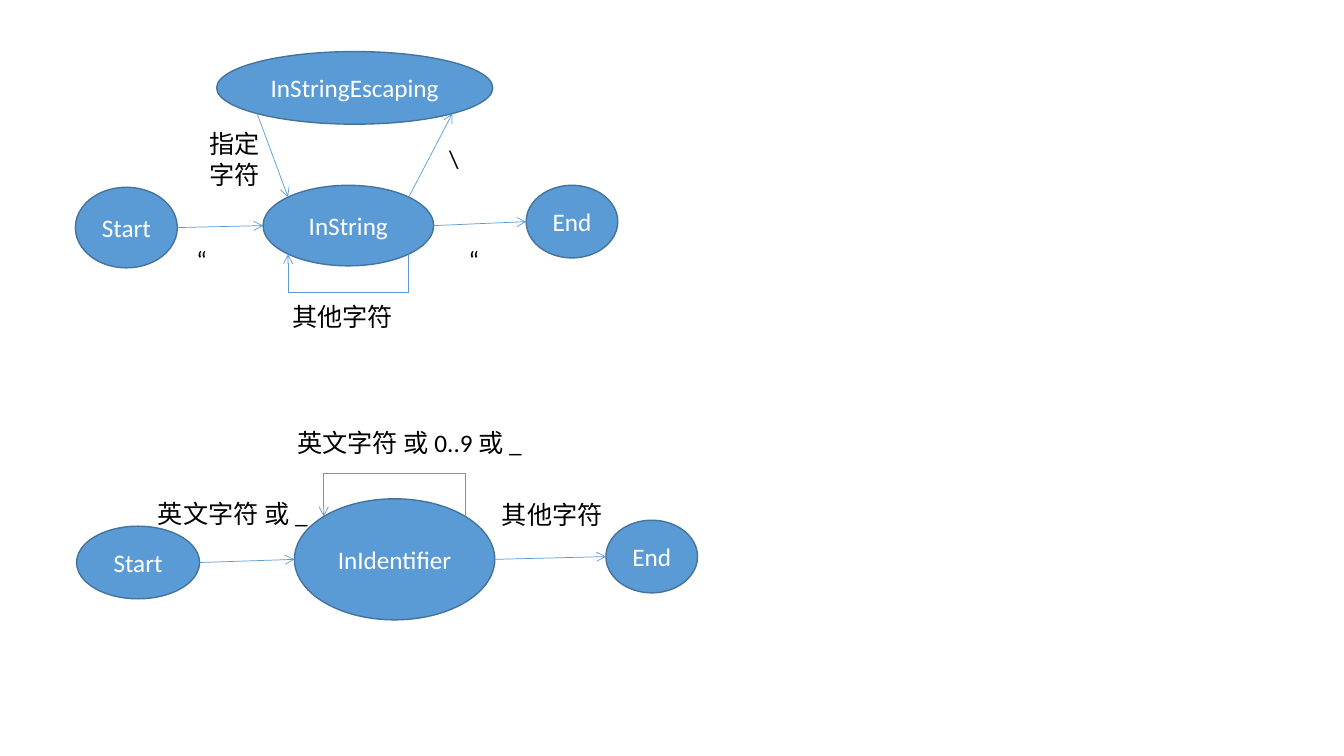
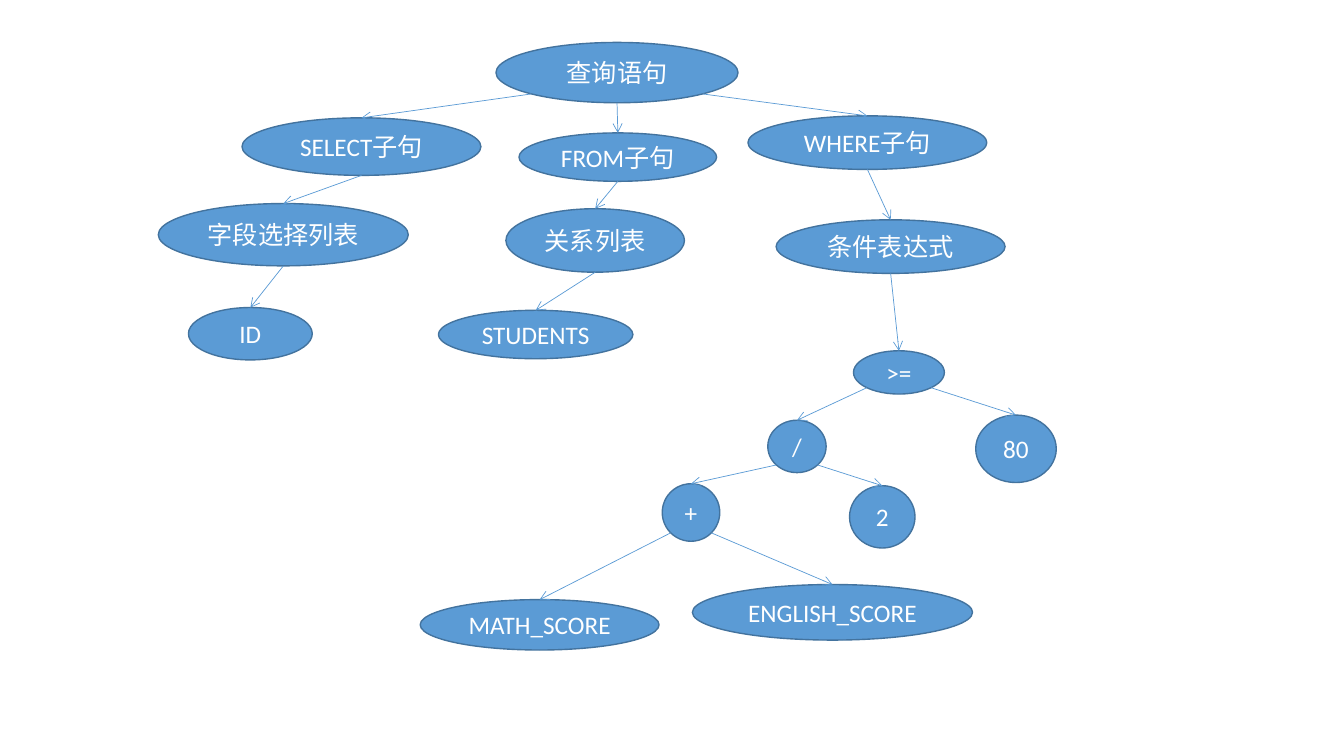
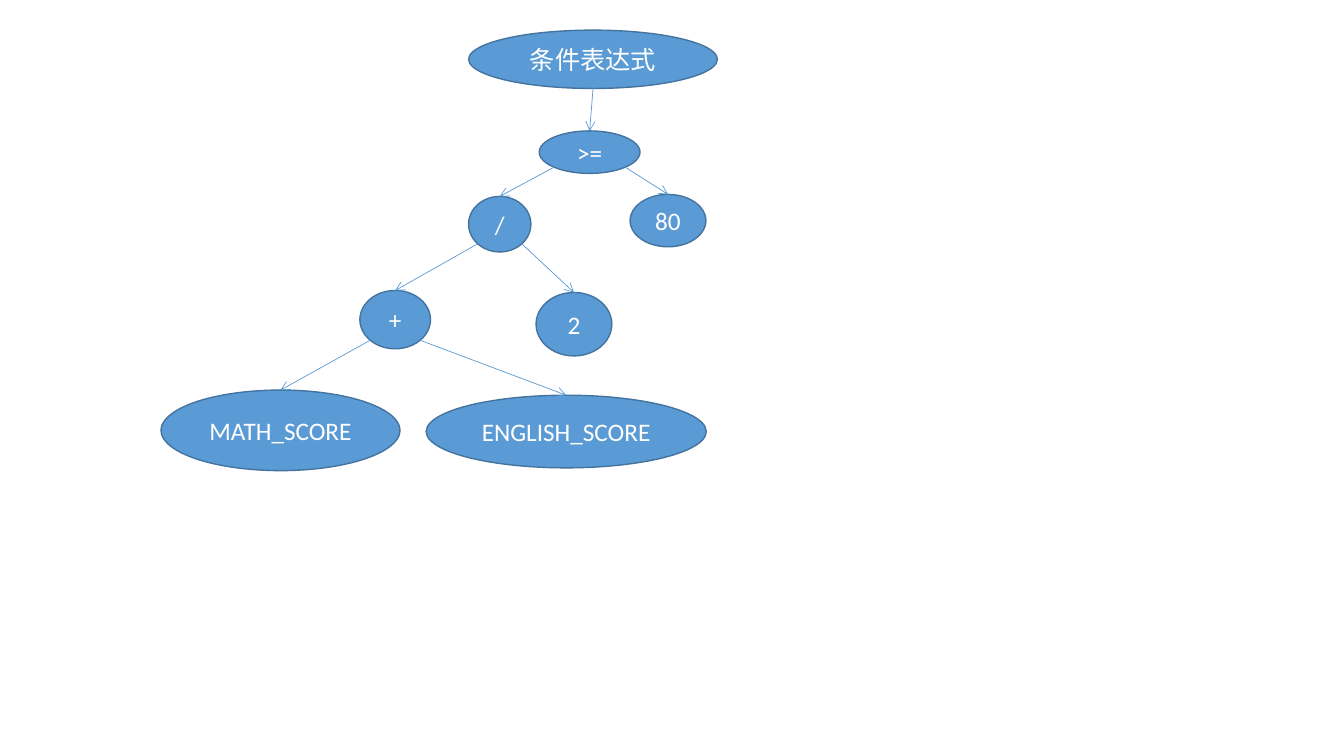
from math import cos, radians, sin
from typing import NamedTuple

from lxml.etree import SubElement
from pptx import Presentation
from pptx.dml.color import RGBColor
from pptx.enum.shapes import MSO_CONNECTOR as Link, MSO_SHAPE as Preset
from pptx.enum.text import MSO_AUTO_SIZE as AutoSize, PP_ALIGN as Align
from pptx.oxml.ns import qn
from pptx.util import Cm, Emu, Pt

BLUE = RGBColor(0x5B, 0x9B, 0xD5)
DARK_BLUE = RGBColor(0x43, 0x73, 0x9E)
WHITE = RGBColor(0xFF, 0xFF, 0xFF)
BLACK = RGBColor(0x00, 0x00, 0x00)
FONT = "Calibri"

TOP, TOP_LEFT, LEFT, BOTTOM_LEFT, BOTTOM, BOTTOM_RIGHT, RIGHT, TOP_RIGHT = range(8)
FAN_SITES = {
    1: (BOTTOM,),
    2: (BOTTOM_LEFT, BOTTOM_RIGHT),
    3: (BOTTOM_LEFT, BOTTOM, BOTTOM_RIGHT),
}
LOOP_DEPTH = 0.01


class Box(NamedTuple):
    left: float
    top: float

    def place(self, left, top, width, height):
        return Cm(self.left + left), Cm(self.top + top), Cm(width), Cm(height)


def write(shape, text, color, align):
    para = shape.text_frame.paragraphs[0]
    para.text = text
    para.alignment = align
    para.font.name = FONT
    para.font.size = Pt(18)
    para.font.color.rgb = color


def add_oval(page, box, text, frame):
    oval = page.shapes.add_shape(Preset.OVAL, *box.place(*frame))
    oval.shadow.inherit = False
    oval.fill.solid()
    oval.fill.fore_color.rgb = BLUE
    oval.line.color.rgb = DARK_BLUE
    oval.line.width = Pt(1)
    write(oval, text, WHITE, Align.CENTER)
    return oval


def add_label(page, box, text, frame):
    label = page.shapes.add_textbox(*box.place(*frame))
    label.text_frame.word_wrap = True
    label.text_frame.auto_size = AutoSize.SHAPE_TO_FIT_TEXT
    write(label, text, BLACK, Align.LEFT)


def site_point(oval, site):
    angle = radians(45 * site)
    x = oval.left + oval.width / 2 * (1 - sin(angle))
    y = oval.top + oval.height / 2 * (1 - cos(angle))
    return Emu(round(x)), Emu(round(y))


def style_arrow(arrow, *joints):
    arrow.line.color.rgb = BLUE
    arrow.line.width = Pt(0.5)
    element = arrow._element
    SubElement(element.find(".//" + qn("a:ln")), qn("a:tailEnd"), type="arrow")
    SubElement(element.spPr, qn("a:effectLst"))
    ends = element.find(".//" + qn("p:cNvCxnSpPr"))
    for tag, (oval, site) in zip(("a:stCxn", "a:endCxn"), joints):
        SubElement(ends, qn(tag), id=str(oval.shape_id), idx=str(site))


def add_arrow(page, start, start_site, end, end_site):
    arrow = page.shapes.add_connector(
        Link.STRAIGHT, *site_point(start, start_site), *site_point(end, end_site))
    style_arrow(arrow, (start, start_site), (end, end_site))


def add_loop(page, oval, above, reach):
    start, end = (TOP_RIGHT, TOP_LEFT) if above else (BOTTOM_RIGHT, BOTTOM_LEFT)
    right, y = site_point(oval, start)
    left, _ = site_point(oval, end)
    middle, half, depth = (left + right) // 2, (right - left) // 2, Cm(LOOP_DEPTH)
    rise = half if above else -half
    loop = page.shapes.add_connector(
        Link.ELBOW, middle - depth // 2, y + rise, middle + depth // 2, y - rise)
    loop.rotation = 270 if above else 90
    bend = round(reach / LOOP_DEPTH * 100000)
    guides = loop._element.find(".//" + qn("a:avLst"))
    SubElement(guides, qn("a:gd"), name="adj1", fmla=f"val {bend}")
    style_arrow(loop, (oval, start), (oval, end))


def draw_machine(page, box, states, labels, inner, loop_above, loop_reach):
    ovals = {name: add_oval(page, box, name, frame) for name, frame in states.items()}
    add_arrow(page, ovals["Start"], RIGHT, ovals[inner], LEFT)
    add_arrow(page, ovals[inner], RIGHT, ovals["End"], LEFT)
    add_loop(page, ovals[inner], loop_above, loop_reach)
    for text, frame in labels:
        add_label(page, box, text, frame)
    return ovals


def draw_tree(page, box, nodes, children):
    ovals = {name: add_oval(page, box, name, frame) for name, frame in nodes.items()}
    for parent, names in children.items():
        for site, name in zip(FAN_SITES[len(names)], names):
            add_arrow(page, ovals[parent], site, ovals[name], TOP)


STRING_STATES = {
    "Start": (0, 3.42, 2.57, 2.03),
    "InString": (4.73, 3.37, 4.3, 2.03),
    "InStringEscaping": (3.56, 0, 6.96, 1.83),
    "End": (11.36, 3.37, 2.31, 1.83),
}
STRING_LABELS = [
    ("“", (2.8, 4.72, 1.4, 1.02)),
    ("“", (9.66, 4.72, 1.4, 1.02)),
    ("\\", (9.17, 2.18, 0.94, 1.02)),
    ("指定字符", (3.13, 1.82, 1.78, 1.78)),
    ("其他字符", (5.21, 6.17, 3.38, 1.02)),
]
IDENTIFIER_STATES = {
    "Start": (0, 2.62, 3.1, 1.83),
    "InIdentifier": (5.49, 1.93, 5.05, 3.05),
    "End": (13.34, 2.47, 2.31, 1.83),
}
IDENTIFIER_LABELS = [
    ("英文字符 或 _", (1.8, 1.78, 4.83, 1.02)),
    ("英文字符 或 0..9 或 _", (5.31, 0, 6.2, 1.02)),
    ("其他字符", (10.47, 1.81, 3.38, 1.02)),
]

CONDITION_CHILDREN = {
    "条件表达式": [">="],
    ">=": ["/", "80"],
    "/": ["+", "2"],
    "+": ["MATH_SCORE", "ENGLISH_SCORE"],
}
QUERY_CHILDREN = {
    "查询语句": ["SELECT子句", "FROM子句", "WHERE子句"],
    "SELECT子句": ["字段选择列表"],
    "字段选择列表": ["ID"],
    "FROM子句": ["关系列表"],
    "关系列表": ["STUDENTS"],
    "WHERE子句": ["条件表达式"],
    **CONDITION_CHILDREN,
}
QUERY_NODES = {
    "查询语句": (8.51, 0, 6.1, 1.52),
    "SELECT子句": (2.11, 1.9, 6.02, 1.45),
    "FROM子句": (9.09, 2.28, 4.98, 1.22),
    "WHERE子句": (14.86, 1.85, 6.02, 1.35),
    "字段选择列表": (0, 4.06, 6.3, 1.57),
    "ID": (0.76, 6.68, 3.12, 1.32),
    "关系列表": (8.76, 4.19, 4.5, 1.6),
    "STUDENTS": (7.06, 6.75, 4.9, 1.22),
    "条件表达式": (15.57, 4.47, 5.77, 1.35),
    ">=": (17.52, 7.77, 2.29, 1.09),
    "80": (20.6, 9.39, 2.03, 1.7),
    "/": (15.36, 9.52, 1.47, 1.32),
    "2": (17.42, 11.17, 1.65, 1.57),
    "+": (12.7, 11.12, 1.45, 1.45),
    "MATH_SCORE": (6.6, 14.04, 6.02, 1.27),
    "ENGLISH_SCORE": (13.46, 13.66, 7.06, 1.4),
}
CONDITION_NODES = {
    "条件表达式": (7.75, 0, 6.27, 1.47),
    ">=": (9.53, 2.54, 2.54, 1.07),
    "80": (11.82, 4.14, 1.91, 1.32),
    "/": (7.75, 4.19, 1.57, 1.4),
    "2": (9.45, 6.61, 1.91, 1.6),
    "+": (5.01, 6.56, 1.78, 1.47),
    "MATH_SCORE": (0, 9.07, 6.02, 2.03),
    "ENGLISH_SCORE": (6.68, 9.2, 7.06, 1.83),
}


def draw_machines_page(page):
    ovals = draw_machine(page, Box(1.9, 1.3), STRING_STATES, STRING_LABELS,
                         "InString", False, 0.97)
    inside, escaping = ovals["InString"], ovals["InStringEscaping"]
    add_arrow(page, inside, TOP_RIGHT, escaping, BOTTOM_RIGHT)
    add_arrow(page, escaping, BOTTOM_LEFT, inside, TOP_LEFT)
    draw_machine(page, Box(1.93, 10.64), IDENTIFIER_STATES, IDENTIFIER_LABELS,
                 "InIdentifier", True, 1.09)


def main():
    deck = Presentation()
    deck.slide_width, deck.slide_height = Cm(33.87), Cm(19.05)
    blank = deck.slide_layouts[6]
    draw_machines_page(deck.slides.add_slide(blank))
    draw_tree(deck.slides.add_slide(blank), Box(3.99, 1.07), QUERY_NODES, QUERY_CHILDREN)
    draw_tree(deck.slides.add_slide(blank), Box(4.06, 0.76), CONDITION_NODES, CONDITION_CHILDREN)
    deck.save("out.pptx")


if __name__ == "__main__":
    main()
